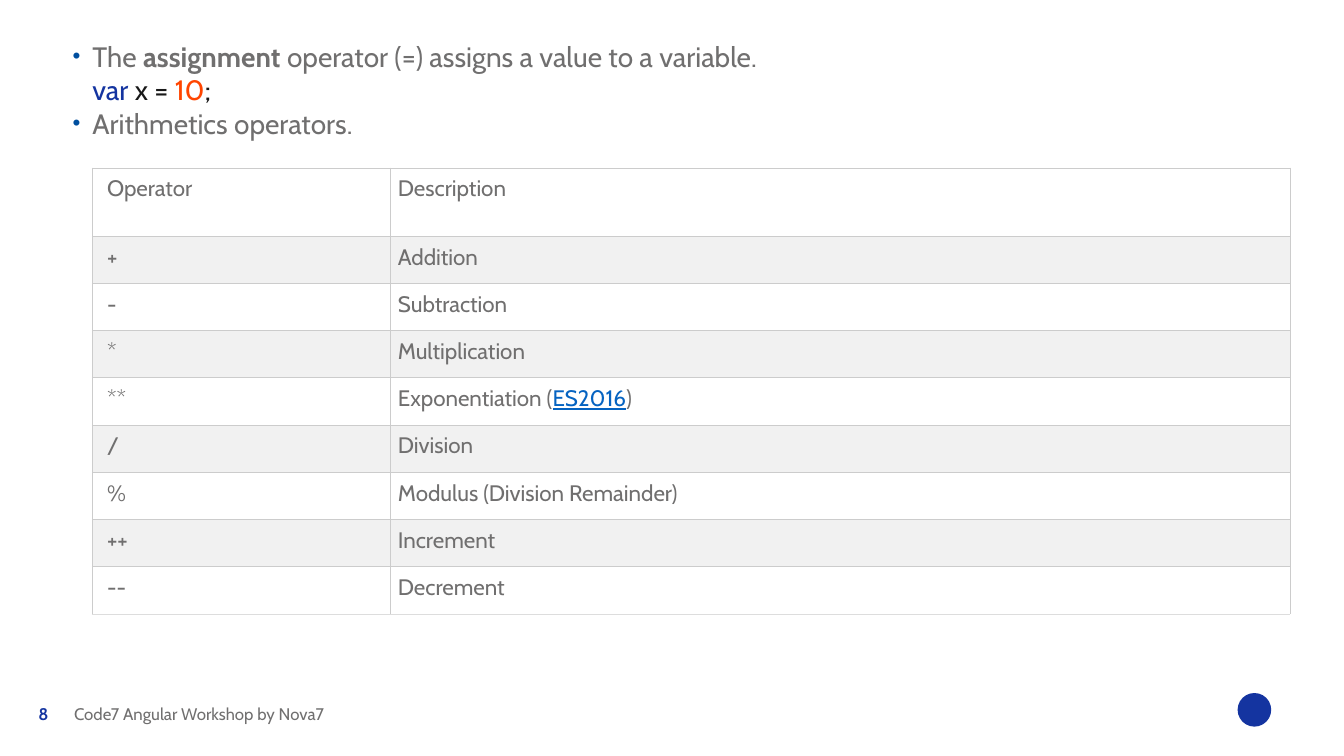
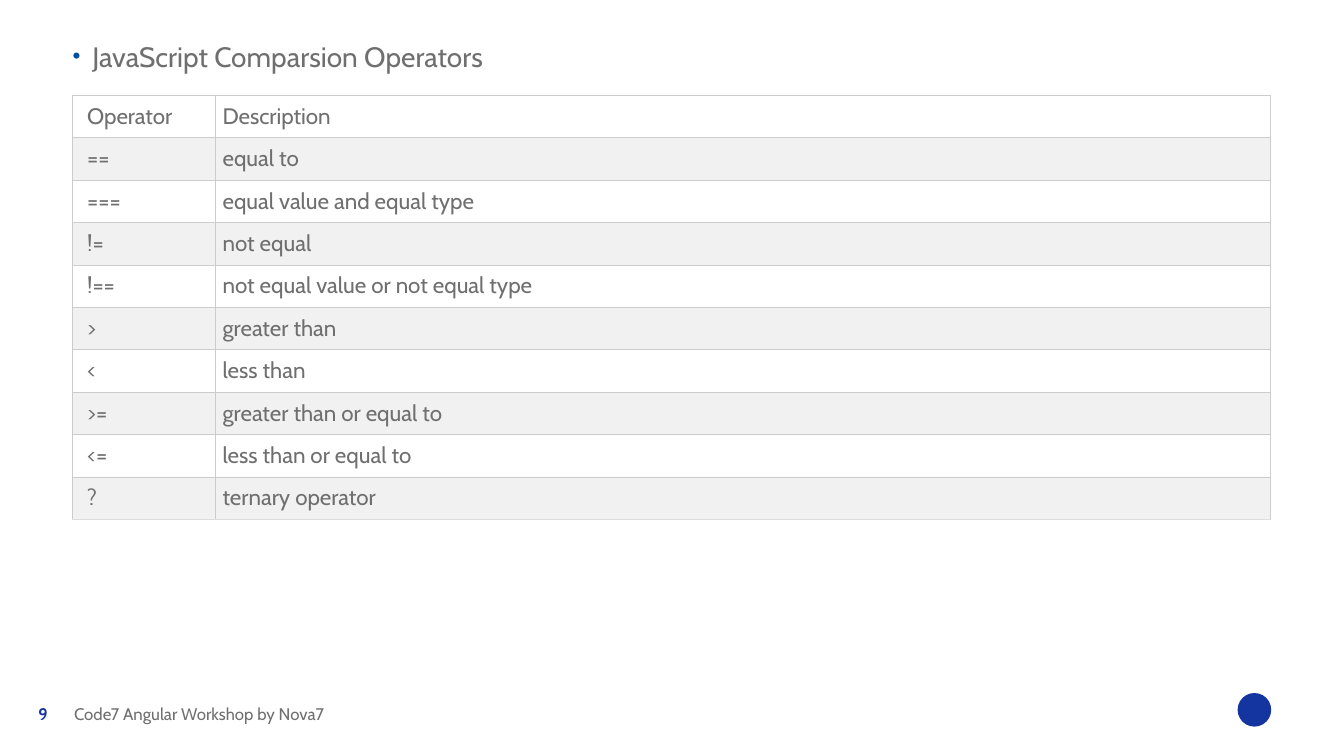
from lxml.etree import SubElement
from pptx import Presentation
from pptx.dml.color import RGBColor
from pptx.enum.shapes import MSO_SHAPE
from pptx.enum.text import MSO_ANCHOR
from pptx.oxml import parse_xml
from pptx.oxml.ns import nsdecls, qn
from pptx.util import Pt

GREY = RGBColor(0x70, 0x6F, 0x6F)
NAVY = RGBColor(0x14, 0x34, 0xA0)
BLUE = RGBColor(0x00, 0x4F, 0x9F)
INK = RGBColor(0x18, 0x18, 0x18)
ORANGE = RGBColor(0xFF, 0x45, 0x00)
LINK = RGBColor(0x05, 0x63, 0xC1)
WHITE = RGBColor(0xFF, 0xFF, 0xFF)
BAND = RGBColor(0xF1, 0xF1, 0xF1)
RULE = RGBColor(0xCC, 0xCC, 0xCC)
FOOT = RGBColor(0xDD, 0xDD, 0xDD)

FONT = "Cabin"
BREAK = "\n"
FOOTER = "Code7 Angular Workshop by Nova7"

INTRO = [
    [
        "The ",
        ("assignment", {"bold": True}),
        " operator (=) assigns a value to a variable.",
        BREAK,
        ("var ", {"color": NAVY}),
        ("x = ", {"color": INK}),
        ("10", {"color": ORANGE}),
        (";", {"color": INK}),
    ],
    ["Arithmetics operators."],
]
MATH = [
    ("Operator", "Description"),
    ("+", "Addition"),
    ("-", "Subtraction"),
    ("*", "Multiplication"),
    ("**", ["Exponentiation (", ("ES2016", {"color": LINK, "underline": True}), ")"]),
    ("/", "Division"),
    ("%", "Modulus (Division Remainder)"),
    ("++", "Increment"),
    ("--", "Decrement"),
]
TESTS = [
    ("Operator", "Description"),
    ("==", "equal to"),
    ("===", "equal value and equal type"),
    ("!=", "not equal"),
    ("!==", "not equal value or not equal type"),
    (">", "greater than"),
    ("<", "less than"),
    (">=", "greater than or equal to"),
    ("<=", "less than or equal to"),
    ("?", "ternary operator"),
]


def write(para, parts, size, **base):
    """Add runs: plain strings, or (string, format) pairs."""
    for part in [parts] if isinstance(parts, str) else parts:
        if part == BREAK:
            para.add_line_break()
            continue
        text, extra = (part, {}) if isinstance(part, str) else part
        look = {"name": FONT, "size": Pt(size), "bold": False, "color": GREY}
        look |= base | extra
        run = para.add_run()
        run.text = text
        run.font.color.rgb = look.pop("color")
        for key, value in look.items():
            setattr(run.font, key, value)


def add_box(slide, left, top, width, height, anchor=MSO_ANCHOR.TOP):
    box = slide.shapes.add_textbox(Pt(left), Pt(top), Pt(width), Pt(height))
    frame = box.text_frame
    look = {"word_wrap": True, "vertical_anchor": anchor}
    look |= {f"margin_{side}": 0 for side in ("left", "top", "right", "bottom")}
    for key, value in look.items():
        setattr(frame, key, value)
    return frame


def add_points(slide, points, height):
    frame = add_box(slide, 52, 28, 864, height)
    for index, parts in enumerate(points):
        para = frame.add_paragraph() if index else frame.paragraphs[0]
        para.line_spacing = Pt(24)
        props = para._p.get_or_add_pPr()
        props.set("marL", str(Pt(14)))
        props.set("indent", str(Pt(-14)))
        tint = SubElement(props, qn("a:buClr"))
        SubElement(tint, qn("a:srgbClr"), val=str(BLUE))
        SubElement(props, qn("a:buSzPct"), val="80000")
        SubElement(props, qn("a:buFont"), typeface="Arial")
        SubElement(props, qn("a:buChar"), char="•")
        write(para, parts, 20)


def add_rules(cell, last):
    """Draw the four cell borders, with a paler one under the last row."""
    props = cell._tc.get_or_add_tcPr()
    for index, side in enumerate("LRTB"):
        color = FOOT if last and side == "B" else RULE
        line = parse_xml(
            f'<a:ln{side} {nsdecls("a")} w="{Pt(0.75)}"><a:solidFill>'
            f'<a:srgbClr val="{color}"/></a:solidFill></a:ln{side}>'
        )
        props.insert(index, line)


def add_grid(slide, rows, left, top, widths, step, head):
    """Add a banded table whose first row is head points high."""
    heights = [head] + [step] * (len(rows) - 1)
    table = slide.shapes.add_table(
        len(rows), len(widths), Pt(left), Pt(top), Pt(sum(widths)), Pt(sum(heights))
    ).table
    table.first_row = table.horz_banding = False
    for column, width in zip(table.columns, widths):
        column.width = Pt(width)
    for r, (row, height) in enumerate(zip(rows, heights)):
        table.rows[r].height = Pt(height)
        for c, parts in enumerate(row):
            cell = table.cell(r, c)
            look = {f"margin_{side}": Pt(5.25) for side in ("top", "right", "bottom")}
            look["margin_left"] = Pt(5.25 if c else 10.5)
            for key, value in look.items():
                setattr(cell, key, value)
            cell.fill.solid()
            cell.fill.fore_color.rgb = BAND if r % 2 else WHITE
            add_rules(cell, r == len(rows) - 1)
            write(cell.text_frame.paragraphs[0], parts, 16)


def add_page(deck, number):
    """Add a blank slide with its number, footer and corner mark."""
    slide = deck.slides.add_slide(deck.slide_layouts[6])
    mark = slide.shapes.add_shape(MSO_SHAPE.OVAL, Pt(884), Pt(495), Pt(24), Pt(24))
    mark.shadow.inherit = False
    mark.fill.solid()
    mark.fill.fore_color.rgb = NAVY
    mark.line.fill.background()
    page = add_box(slide, 27.5, 502, 21.5, 15, MSO_ANCHOR.MIDDLE)
    write(page.paragraphs[0], str(number), 12, bold=True, color=NAVY)
    foot = add_box(slide, 53, 502, 565, 15, MSO_ANCHOR.BOTTOM)
    write(foot.paragraphs[0], FOOTER, 12)
    return slide


def main():
    deck = Presentation()
    deck.slide_width, deck.slide_height = Pt(960), Pt(540)

    slide = add_page(deck, 8)
    add_points(slide, INTRO, 74)
    add_grid(slide, MATH, 66, 120, (213, 642.5), 33.75, 48.75)

    slide = add_page(deck, 9)
    add_points(slide, ["JavaScript Comparsion Operators"], 446)
    add_grid(slide, TESTS, 51.75, 68.25, (102, 753.5), 30.3, 30.3)

    deck.save("out.pptx")


if __name__ == "__main__":
    main()
